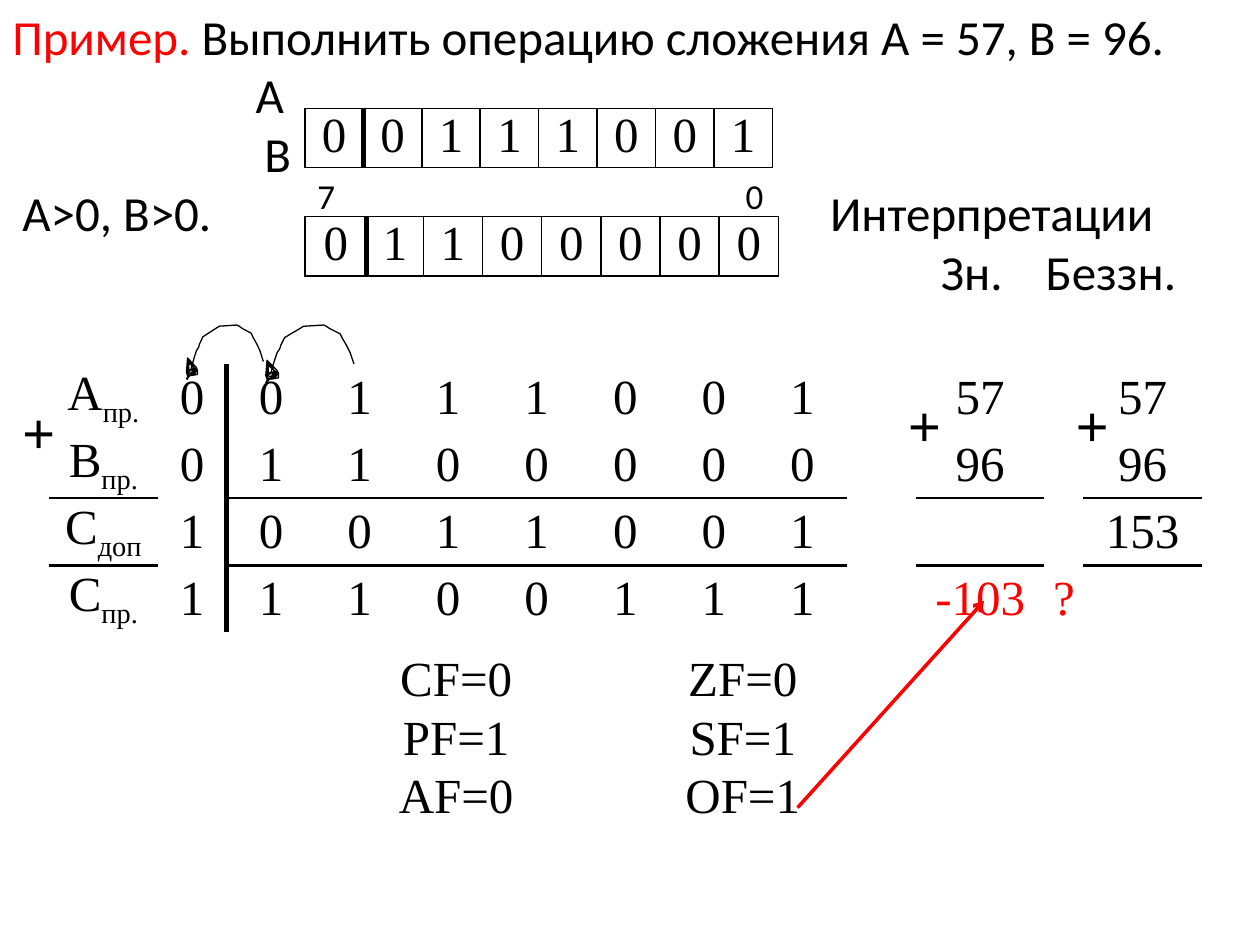
import dataclasses
import typing

import lxml.etree
import pptx
import pptx.dml.color
import pptx.enum.shapes
import pptx.enum.text
import pptx.oxml.ns
import pptx.util

COLS = 100
SLIDE_W, SLIDE_H = pptx.util.Inches(10), pptx.util.Inches(7.5)
BLACK, RED = "000000", "FF0000"
SERIF, SANS, PLUS_FONT = "Times New Roman", "Calibri", "Arial"
ALIGN = pptx.enum.text.PP_ALIGN
ANCHOR = pptx.enum.text.MSO_ANCHOR
qn = pptx.oxml.ns.qn

Borders = dict[str, float]
BorderRule = typing.Callable[[int, int], Borders]


@dataclasses.dataclass
class Grid:
    left: float
    top: float
    height: float
    widths: list[float]
    rows: list[list[str]]
    borders: BorderRule
    anchor: typing.Any = ANCHOR.MIDDLE


@dataclasses.dataclass
class Line:
    runs: list[tuple[str, str]]
    stops: tuple[float, ...] = ()


@dataclasses.dataclass
class Box:
    left: float
    top: float
    width: float
    height: float
    lines: list[Line]
    size: float
    font: str = SANS
    anchor: typing.Any = ANCHOR.TOP


@dataclasses.dataclass
class Jump:
    left: float
    top: float
    width: float
    height: float


def unit(n: float) -> int:
    return round(SLIDE_W * n / COLS)


def rgb(color: str) -> pptx.dml.color.RGBColor:
    return pptx.dml.color.RGBColor.from_string(color)


def add_text(p, text: str, *, size: float = 28, font: str = SERIF,
             color: str = BLACK, sub: bool = False) -> None:
    r = p.add_run()
    r.text = text
    r.font.size = pptx.util.Pt(size)
    r.font.name = font
    r.font.color.rgb = rgb(color)
    if sub:
        r.font._element.set("baseline", "-25000")


def set_tabs(p, stops: tuple[float, ...]) -> None:
    tabs = lxml.etree.SubElement(p._p.get_or_add_pPr(), qn("a:tabLst"))
    for stop in stops:
        lxml.etree.SubElement(tabs, qn("a:tab"), pos=str(unit(stop)), algn="l")


def set_borders(cell, borders: Borders) -> None:
    tc_pr = cell._tc.get_or_add_tcPr()
    for i, side in enumerate("LRTB"):
        width = borders.get(side, 0)
        ln = lxml.etree.Element(qn(f"a:ln{side}"), w=str(pptx.util.Pt(width)))
        if width:
            fill = lxml.etree.SubElement(ln, qn("a:solidFill"))
            lxml.etree.SubElement(fill, qn("a:srgbClr"), val=BLACK)
        else:
            lxml.etree.SubElement(ln, qn("a:noFill"))
        tc_pr.insert(i, ln)


def register_borders(row: int, col: int) -> Borders:
    return {"L": 3 if col == 1 else 1, "R": 3 if col == 0 else 1, "T": 1, "B": 1}


def sum_borders(row: int, col: int) -> Borders:
    borders: Borders = {}
    if col == 1:
        borders["R"] = 3
    if col == 2:
        borders["L"] = 3
    if col not in (1, 9, 11):
        if row in (1, 2):
            borders["B"] = 1.5
        if row in (2, 3):
            borders["T"] = 1.5
    return borders


def no_borders(row: int, col: int) -> Borders:
    return {}


def draw_grid(slide, grid: Grid) -> None:
    count = len(grid.rows)
    frame = slide.shapes.add_table(count, len(grid.widths), unit(grid.left), unit(grid.top),
                                   unit(sum(grid.widths)), unit(grid.height))
    table = frame.table
    table.first_row = table.horz_banding = False
    for column, width in zip(table.columns, grid.widths):
        column.width = unit(width)
    for i, row in enumerate(grid.rows):
        table.rows[i].height = unit(grid.height / count)
        for j, text in enumerate(row):
            cell = table.cell(i, j)
            cell.fill.background()
            cell.margin_left = cell.margin_right = unit(0.7)
            cell.margin_top = cell.margin_bottom = 0
            cell.vertical_anchor = grid.anchor
            set_borders(cell, grid.borders(i, j))
            if text:
                p = cell.text_frame.paragraphs[0]
                p.alignment = ALIGN.LEFT if text == "?" else ALIGN.CENTER
                base, _, sub = text.partition("_")
                add_text(p, base, color=RED if base in ("-103", "?") else BLACK)
                if sub:
                    add_text(p, sub, sub=True)


def draw_box(slide, box: Box) -> None:
    sp = slide.shapes.add_textbox(*map(unit, (box.left, box.top, box.width, box.height)))
    tf = sp.text_frame
    tf.word_wrap = True
    tf.vertical_anchor = box.anchor
    for i, line in enumerate(box.lines):
        p = tf.add_paragraph() if i else tf.paragraphs[0]
        if line.stops:
            set_tabs(p, line.stops)
        for text, color in line.runs:
            add_text(p, text, size=box.size, font=box.font, color=color)


def draw_jump(slide, jump: Jump) -> None:
    span_x, span_y = (max(axis) for axis in zip(*JUMP_POINTS))
    scale = (unit(jump.width) / span_x, unit(jump.height) / span_y)
    builder = slide.shapes.build_freeform(*JUMP_POINTS[0], scale=scale)
    builder.add_line_segments(JUMP_POINTS[1:], close=False)
    sp = builder.convert_to_shape(unit(jump.left), unit(jump.top))
    sp.shadow.inherit = False
    sp.fill.background()
    sp.line.color.rgb = rgb(BLACK)
    sp.line.width = pptx.util.Pt(0.75)


def draw_arrow(slide, start: tuple[float, float], end: tuple[float, float]) -> None:
    line = slide.shapes.add_connector(pptx.enum.shapes.MSO_CONNECTOR.STRAIGHT,
                                      *map(unit, start + end))
    line.line.color.rgb = rgb(RED)
    line.line.width = pptx.util.Pt(2)
    lxml.etree.SubElement(line.line._get_or_add_ln(), qn("a:tailEnd"), type="arrow")
    lxml.etree.SubElement(line._element.spPr, qn("a:effectLst"))


JUMP_POINTS = [
    (70, 31), (67, 22), (64, 16), (61, 11), (59, 7), (51, 3), (48, 1), (46, 0), (30, 1),
    (15, 10), (12, 16), (11, 19), (9, 22), (7, 28), (4, 38), (2, 40), (1, 43), (0, 40),
    (1, 28), (5, 32), (7, 34), (9, 36), (10, 39), (6, 40), (3, 41), (5, 42), (3, 43),
    (1, 42), (2, 30), (2, 38), (5, 38), (7, 36), (7, 40), (5, 39), (7, 37), (5, 34),
    (3, 32), (2, 29), (4, 32), (6, 35), (7, 38), (9, 39), (5, 41), (0, 46), (2, 42),
    (1, 46), (2, 32), (9, 38), (8, 41), (4, 43), (10, 42), (10, 38), (9, 40),
]
JUMPS = [Jump(21.1, 25.8, 7, 4.6), Jump(14.8, 25.8, 6.1, 4.3)]

TASK = Box(0, 0, 100, 29.3, [
    Line([("Пример. ", RED), ("Выполнить операцию сложения А = 57, В = 96.", BLACK)]),
    Line([("\tА", BLACK)], (19.3,)),
    Line([("\tВ", BLACK)], (20,)),
    Line([("\tА>0, B>0.\tИнтерпретации", BLACK)], (0.8, 64.9)),
    Line([("\tЗн.\tБеззн.", BLACK)], (73.7, 82)),
], 28)
BITS = Box(24.2, 13.3, 39.1, 4.4, [Line([("7\t0", BLACK)], (34,))], 20, anchor=ANCHOR.MIDDLE)
PLUSES = [Box(left, top, 4.7, 6.4, [Line([("+", BLACK)])], 32, PLUS_FONT)
          for left, top in ((0.8, 31.1), (84.4, 30.5), (71.1, 30.5))]

GRIDS = [
    Grid(24.2, 8.6, 4.7, [4.64] * 8, [list("00111001")], register_borders, ANCHOR.TOP),
    Grid(24.2, 17.2, 4.7, [4.9, 4.5] + [4.7] * 6, [list("01100000")], register_borders,
         ANCHOR.TOP),
    Grid(3.9, 28.9, 21.3, [8.6, 5.5] + [7.03] * 7 + [5.5, 10.2, 3.1, 9.4], [
        ["А_пр.", *"00111001", "", "57", "", "57"],
        ["B_пр.", *"01100000", "", "96", "", "96"],
        ["С_доп", *"10011001", "", "", "", "153"],
        ["С_пр.", *"11100111", "", "-103", "?", ""],
    ], sum_borders),
    Grid(28.9, 51.6, 14, [14.6, 1.8, 27.3],
         [["CF=0", "", "ZF=0"], ["PF=1", "", "SF=1"], ["AF=0", "", "OF=1"]], no_borders),
]


def main() -> None:
    prs = pptx.Presentation()
    prs.slide_width, prs.slide_height = SLIDE_W, SLIDE_H
    slide = prs.slides.add_slide(prs.slide_layouts[6])
    for box in [TASK, BITS, *PLUSES]:
        draw_box(slide, box)
    for grid in GRIDS:
        draw_grid(slide, grid)
    draw_arrow(slide, (63.3, 64.1), (78.1, 47.7))
    for jump in JUMPS:
        draw_jump(slide, jump)
    prs.save("out.pptx")


if __name__ == "__main__":
    main()
